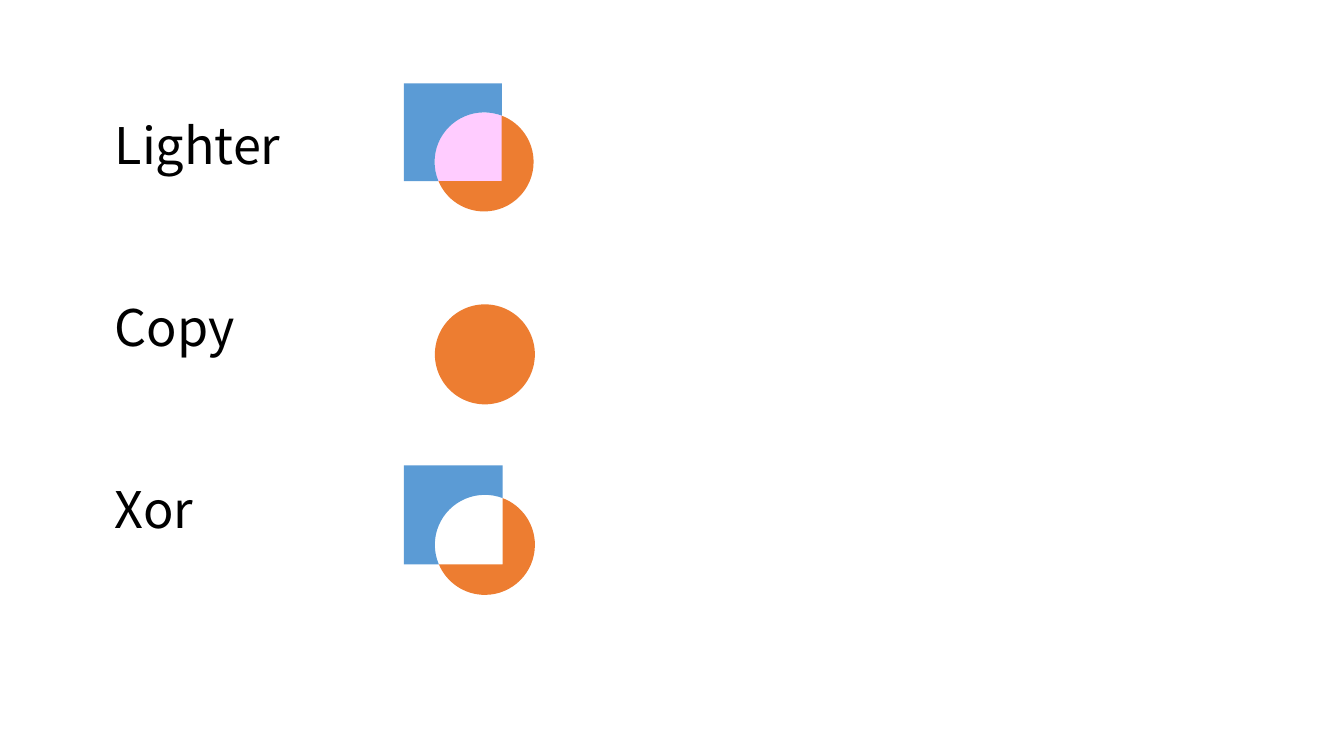
from math import acos, asin, ceil, cos, floor, pi, sin, tan

from lxml.etree import SubElement
from pptx import Presentation
from pptx.dml.color import RGBColor
from pptx.enum.shapes import MSO_SHAPE as Preset
from pptx.enum.text import MSO_AUTO_SIZE as AutoSize
from pptx.oxml.ns import qn
from pptx.util import Cm, Pt

# Content: mode, top of its figure in cm, scale, visible parts
MODES = [
    ("Lighter", 2.1, 0.99, ("overlap", "square", "circle")),
    ("Copy", 6.93, 1, ("disc",)),
    ("Xor", 11.73, 1, ("square", "circle")),
]
THEME = {
    "font": "Noto Sans CJK SC",
    "size": 36,
    "gap": 86.8,
    "text": "000000",
    "square": "5B9BD5",
    "circle": "ED7D31",
    "disc": "ED7D31",
    "overlap": "FFCCFF",
}

# Figure geometry in cm, measured from the square's top left corner
FIGURE_LEFT = 10.18
SIDE, RADIUS = 2.49, 1.26
CENTRE_X, CENTRE_Y = 2.04, 2.0

deck = Presentation()
deck.slide_width, deck.slide_height = Cm(33.87), Cm(19.05)
slide = deck.slides.add_slide(deck.slide_layouts[6])


def add_text(lines, left, top, width, height, *, font, size, color, gap):
    box = slide.shapes.add_textbox(Cm(left), Cm(top), Cm(width), Cm(height))
    frame = box.text_frame
    frame.word_wrap = False
    frame.auto_size = AutoSize.NONE
    for index, line in enumerate(lines):
        paragraph = frame.paragraphs[0] if index == 0 else frame.add_paragraph()
        paragraph.space_before = Pt(gap if index else 0)
        run = paragraph.add_run()
        run.text = line
        run.font.name, run.font.size = font, Pt(size)
        run.font.color.rgb = RGBColor.from_string(color)
        SubElement(run._r.get_or_add_rPr(), qn("a:ea"), typeface=font)


def paint(part, color):
    part.shadow.inherit = False
    part.fill.solid()
    part.fill.fore_color.rgb = RGBColor.from_string(color)
    part.line.fill.background()


def on_circle(angle, along=0):
    """Point on the circle, moved along its tangent by a share of the radius."""
    return (CENTRE_X + RADIUS * (cos(angle) - along * sin(angle)),
            CENTRE_Y + RADIUS * (sin(angle) + along * cos(angle)))


def arc(start, end):
    """Bezier steps from start to end, split at each quarter turn."""
    low, high = sorted((start, end))
    quarters = range(floor(low * 2 / pi) + 1, ceil(high * 2 / pi))
    stops = sorted([low, high] + [q * pi / 2 for q in quarters], reverse=start > end)
    steps = []
    for a, b in zip(stops, stops[1:]):
        pull = 4 / 3 * tan((b - a) / 4)
        steps.append((on_circle(a, pull), on_circle(b, -pull), on_circle(b)))
    return steps


# The circle crosses the square's bottom edge, then its right edge
bottom_cross = pi - asin((SIDE - CENTRE_Y) / RADIUS)
right_cross = 2 * pi - acos((SIDE - CENTRE_X) / RADIUS)
corner = ((SIDE, SIDE),)

# Each step holds one point for a straight line, three for a curve
OUTLINES = {
    "overlap": [(on_circle(bottom_cross),), *arc(bottom_cross, right_cross), corner],
    "square": [((0, 0),), ((SIDE, 0),), (on_circle(right_cross),),
               *arc(right_cross, bottom_cross), ((0, SIDE),)],
    "circle": [(on_circle(right_cross),),
               *arc(right_cross, bottom_cross + 2 * pi), corner],
}


def add_outline(steps, top, scale):
    points = [(Cm(FIGURE_LEFT + x * scale), Cm(top + y * scale))
              for step in steps for x, y in step]
    builder = slide.shapes.build_freeform(*points[0])
    builder.add_line_segments(points[1:], close=True)
    part = builder.convert_to_shape()
    # Join the three points of each curve into one Bezier command
    lines = iter(list(part._element.iter(qn("a:lnTo"))))
    for step in steps[1:]:
        commands = [next(lines) for _ in step]
        if len(step) == 3:
            curve = commands[0].makeelement(qn("a:cubicBezTo"))
            commands[0].addprevious(curve)
            for command in commands:
                curve.append(command[0])
                command.getparent().remove(command)
    return part


def add_part(name, top, scale):
    if name == "disc":
        part = slide.shapes.add_shape(
            Preset.OVAL,
            Cm(FIGURE_LEFT + CENTRE_X - RADIUS), Cm(top + CENTRE_Y - RADIUS),
            Cm(2 * RADIUS), Cm(2 * RADIUS))
    else:
        part = add_outline(OUTLINES[name], top, scale)
    paint(part, THEME[name])


# Mode names
add_text([mode for mode, *_ in MODES], 2.64, 2.74, 5, 11.02,
         font=THEME["font"], size=THEME["size"], color=THEME["text"], gap=THEME["gap"])

# Figures
for _, top, scale, parts in MODES:
    for name in parts:
        add_part(name, top, scale)

deck.save("out.pptx")
